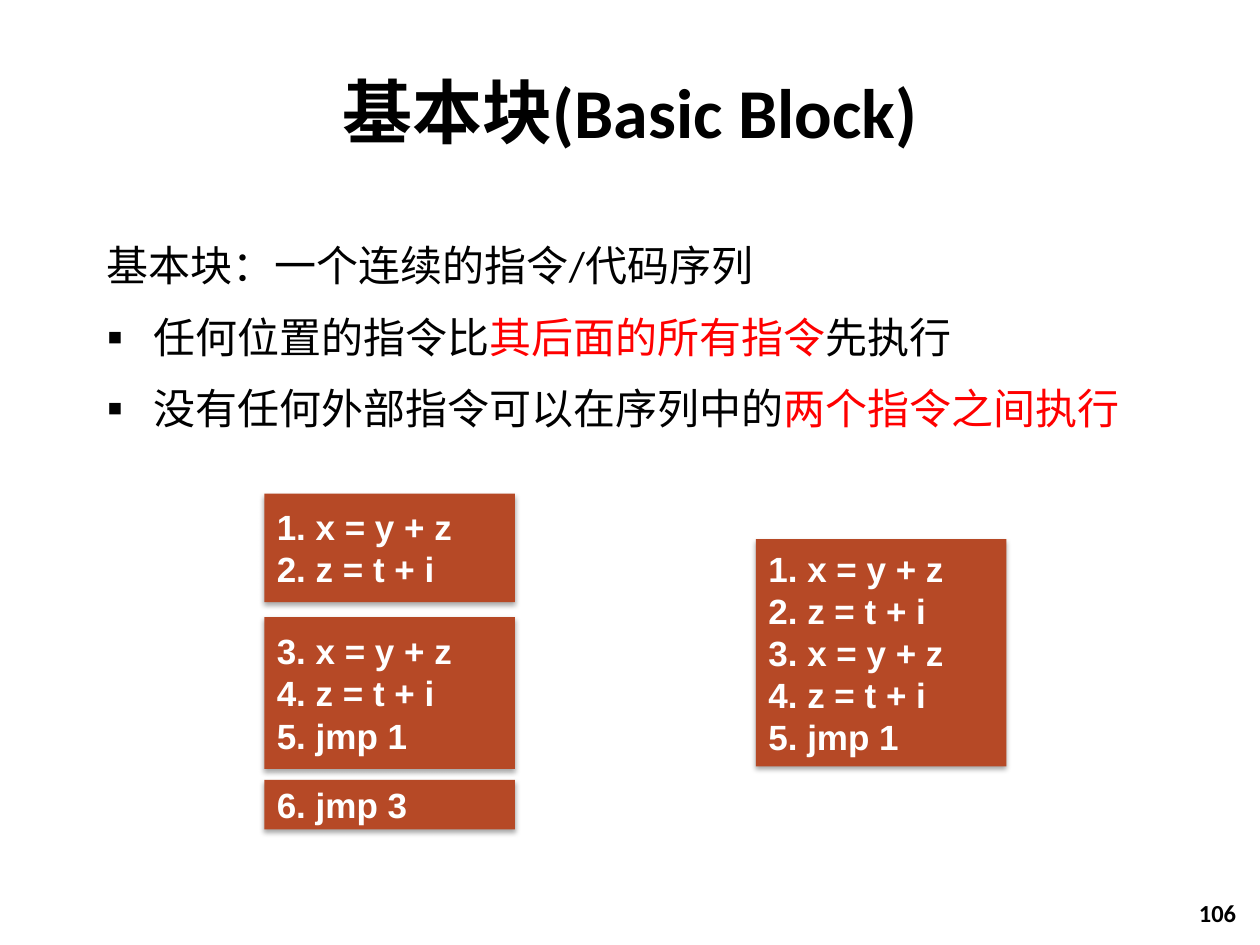
from lxml.etree import SubElement
from pptx import Presentation
from pptx.dml.color import RGBColor
from pptx.enum.shapes import MSO_SHAPE
from pptx.enum.text import MSO_ANCHOR, MSO_AUTO_SIZE, PP_ALIGN
from pptx.oxml.ns import qn
from pptx.util import Cm, Pt

BLACK = RGBColor(0x00, 0x00, 0x00)
WHITE = RGBColor(0xFF, 0xFF, 0xFF)
RED = RGBColor(0xFF, 0x00, 0x00)
RUST = RGBColor(0xB6, 0x49, 0x26)

TITLE = "基本块(Basic Block)"
PAGE_NUMBER = "106"
# Each paragraph: (has bullet, [(text, colour), ...])
BODY = [
    (False, [("基本块：一个连续的指令/代码序列", BLACK)]),
    (True, [("任何位置的指令比", BLACK), ("其后面的所有指令", RED), ("先执行", BLACK)]),
    (True, [("没有任何外部指令可以在序列中的", BLACK), ("两个指令之间执行", RED)]),
]
CODE = ["1. x = y + z", "2. z = t + i", "3. x = y + z",
        "4. z = t + i", "5. jmp 1", "6. jmp 3"]
# Each block: (top, height, lines), in cm
SPLIT_LEFT, MERGED_LEFT, BLOCK_WIDTH = 5.33, 15.24, 5.05
SPLIT_BLOCKS = [(9.95, 2.19, CODE[:2]), (12.44, 3.06, CODE[2:5]), (15.72, 1, CODE[5:])]
MERGED_BLOCK = (10.87, 4.58, CODE[:5])


def place(shape, left, top, width, height):
    shape.left, shape.top = Cm(left), Cm(top)
    shape.width, shape.height = Cm(width), Cm(height)


def style(font, name, size, colour, bold=False):
    font.name, font.size, font.bold = name, Pt(size), bold
    font.color.rgb = colour


def set_bullet(para, has_bullet):
    props = para._p.get_or_add_pPr()
    indent = Cm(0.95) if has_bullet else 0
    props.set("marL", str(indent))
    props.set("indent", str(-indent))
    if has_bullet:
        SubElement(props, qn("a:buSzPct"), val="110000")
        SubElement(props, qn("a:buFont"), typeface="Arial")
        SubElement(props, qn("a:buChar"), char="▪")
    else:
        SubElement(props, qn("a:buNone"))


def add_shadow(shape):
    shape.shadow.inherit = False
    effects = shape._element.spPr.find(qn("a:effectLst"))
    shadow = SubElement(effects, qn("a:outerShdw"), blurRad=str(Pt(3.1)),
                        dist=str(Pt(1.8)), dir="5400000", rotWithShape="0")
    colour = SubElement(shadow, qn("a:srgbClr"), val="000000")
    SubElement(colour, qn("a:alpha"), val="35000")


def add_block(shapes, left, top, height, lines):
    block = shapes.add_shape(MSO_SHAPE.RECTANGLE, Cm(left), Cm(top),
                             Cm(BLOCK_WIDTH), Cm(height))
    block.fill.solid()
    block.fill.fore_color.rgb = RUST
    block.line.fill.background()
    add_shadow(block)
    frame = block.text_frame
    frame.vertical_anchor = MSO_ANCHOR.MIDDLE
    frame.text = "\n".join(lines)
    for para in frame.paragraphs:
        para.alignment = PP_ALIGN.LEFT
        style(para.runs[0].font, "Arial", 20, WHITE, bold=True)


def fill_body(body):
    place(body, 1.9, 4.45, 21.6, 12.5)
    frame = body.text_frame
    frame.auto_size = MSO_AUTO_SIZE.NONE
    for index, (has_bullet, spans) in enumerate(BODY):
        para = frame.add_paragraph() if index else frame.paragraphs[0]
        para.line_spacing = 1.25
        para.space_before = Pt(4.8 if index else 0)
        set_bullet(para, has_bullet)
        for text, colour in spans:
            span = para.add_run()
            span.text = text
            style(span.font, "Calibri", 24, colour)


def main():
    deck = Presentation()
    deck.slide_width, deck.slide_height = Cm(25.4), Cm(19.05)
    page = deck.slides.add_slide(deck.slide_layouts[1])

    title = page.shapes.title
    place(title, 1.9, 0.64, 21.6, 3.18)
    title.text_frame.text = TITLE
    title.text_frame.vertical_anchor = MSO_ANCHOR.MIDDLE
    heading = title.text_frame.paragraphs[0]
    heading.alignment = PP_ALIGN.CENTER
    style(heading.runs[0].font, "Calibri", 40, BLACK, bold=True)

    fill_body(page.placeholders[1])

    split = page.shapes.add_group_shape()
    for block in SPLIT_BLOCKS:
        add_block(split.shapes, SPLIT_LEFT, *block)
    add_block(page.shapes, MERGED_LEFT, *MERGED_BLOCK)

    number = page.shapes.add_textbox(Cm(19.89), Cm(17.98), Cm(5.28), Cm(1.27))
    number.text_frame.word_wrap = True
    number.text_frame.text = PAGE_NUMBER
    para = number.text_frame.paragraphs[0]
    para.alignment = PP_ALIGN.RIGHT
    style(para.runs[0].font, "Calibri", 14, BLACK, bold=True)

    deck.save("out.pptx")


if __name__ == "__main__":
    main()
